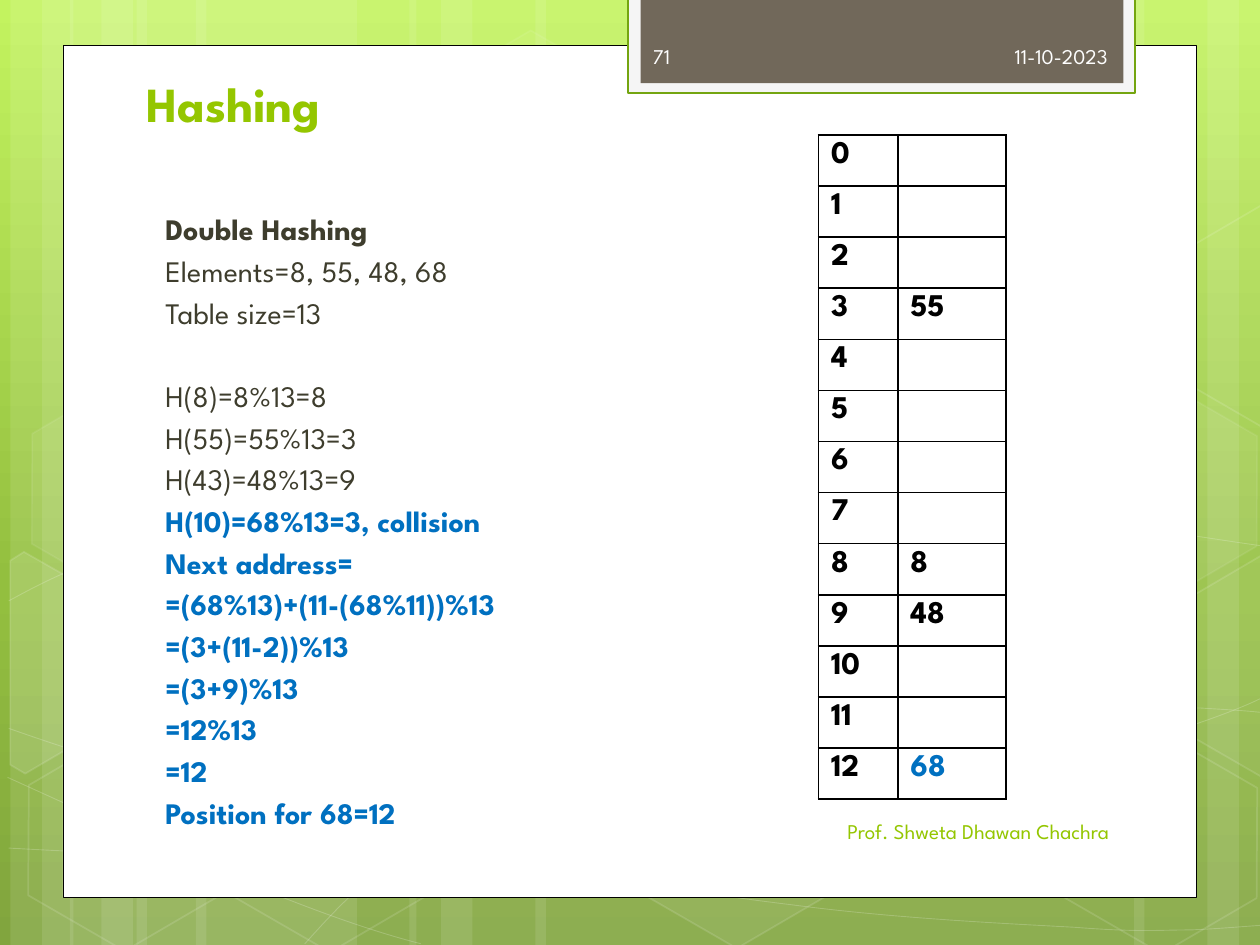
from copy import deepcopy
from lxml import etree
from pptx import Presentation
from pptx import util as u
from pptx.dml.color import RGBColor
from pptx.enum import shapes, text
from pptx.oxml import ns

FONT = "League Spartan"
HUES = {"white": "FFFFFF", "black": "000000", "pale": "F5F5F5", "edge": "74A510",
        "brown": "71685A", "lime": "94C600", "ink": "3E3D2D", "blue": "0070C0",
        "light": "FEFEFE", "top": "C3F35F", "mid": "93BF3F", "low": "81A53E"}
BARS = [(78, 126), (6, 36), (24, 60), (112, 126), (40, 36), (58, 60),
        (528, 126), (690, 36), (648, 60), (306, 222), (234, 36), (252, 60)]
CURVES = [
    [(5, 484.6), (44, 486.7), (82.8, 488.9), (136.8, 488.2), (190.8, 487.4),
     (257.8, 486), (329.8, 478.8), (401.8, 471.6), (504, 457.9), (570.2, 444.2),
     (635.8, 430.6), (703.4, 409), (725, 396.7)],
    [(5, 343.4), (25.9, 332), (46.8, 321.1), (87.1, 310.3), (128.2, 299.5),
     (186.5, 283.7), (249.8, 278.6), (314, 273.6), (391.7, 272.9), (470.9, 278.6),
     (550, 284.4), (681.8, 306.7), (725, 312.5)],
    [(4.3, 444.2), (91.4, 483.8), (177.8, 523.4), (240.5, 539.3)],
    [(5, 416.2), (27.4, 424), (50.4, 432), (92.2, 443.5), (133.9, 454.3),
     (196.6, 472.3), (257, 484.6), (316.8, 496.8), (392.4, 509.8), (452.2, 517),
     (511.9, 524.9), (576, 527.8), (614.2, 529.9), (651.6, 532.8), (661.7, 531.4),
     (680.4, 531.4), (699.1, 530.6), (712.1, 529.2), (725, 528.5)],
    [(174.2, 539.3), (187.2, 524.9), (200.2, 510.5), (217.4, 497.5), (234.7, 484.6),
     (259.2, 470.2), (279.4, 460.1), (299.5, 450), (311.8, 445.7), (338.4, 438.5),
     (364.3, 431.3), (412.6, 421.2), (437.8, 416.2), (463.7, 411.1), (467.3, 411.1),
     (489.6, 409.7), (511.9, 407.5), (547.2, 405.4), (571.7, 404.6), (596.9, 403.9),
     (637.9, 404.6), (637.9, 404.6), (654, 404.6), (670, 404.6), (686.2, 404.6),
     (699.1, 405.4), (711.4, 406.1), (717.8, 406.8), (724.3, 407.5), (722.2, 406.8),
     (724.3, 407.5)]]
HEXES = [(240.5, 26, 4, 8), (357.8, 424, 6, 12), (8, 425.5, 0, 12), (10, 224.6, 7, 8),
         (125.3, 426.2, 0, 12), (542.2, 326.2, 10, 12), (600.5, 427, 0, 12),
         (600.5, 226, 7, 8)]
EDGES = [
    ([(5.8, 320.4), (13.7, 315.4), (69.1, 347), (68.4, 410.4), (14.4, 442.1),
      (5.8, 437)], 10),
    ([(666.7, 349.2), (720.7, 317.5), (726.5, 321.1), (726.5, 441.4),
      (721.4, 444.2), (666.7, 412.6)], 4),
    ([(666.7, 149), (720.7, 117.4), (727.2, 121), (726.5, 241.2), (721.4, 244.1),
      (666.7, 212.4)], 0)]
PLAIN = ["Elements=8, 55, 48, 68", "Table size=13", "H(8)=8%13=8",
         "H(55)=55%13=3", "H(43)=48%13=9"]
STEPS = ["H(10)=68%13=3, collision", "Next address=", "=(68%13)+(11-(68%11))%13",
         "=(3+(11-2))%13", "=(3+9)%13", "=12%13", "=12", "Position for 68=12"]
SLOTS = {3: "55", 8: "8", 9: "48", 12: "68"}


def hue(name):
    return RGBColor.from_string(HUES[name])


def tint(fill, name, alpha=100):
    fill.solid()
    fill.fore_color.rgb = hue(name)
    if alpha < 100:
        node = fill._xPr.find(".//" + ns.qn("a:srgbClr"))
        etree.SubElement(node, ns.qn("a:alpha"), val=str(alpha * 1000))


def paint(shape, fill=None, alpha=100, line=None, width=1, fade=100):
    shape.shadow.inherit = False
    if fill:
        tint(shape.fill, fill, alpha)
    else:
        shape.fill.background()
    if line:
        shape.line.width = u.Pt(width)
        tint(shape.line.fill, line, fade)
    else:
        shape.line.fill.background()


def block(slide, box, kind=shapes.MSO_SHAPE.RECTANGLE, **look):
    shape = slide.shapes.add_shape(kind, *map(u.Pt, box))
    paint(shape, **look)
    return shape


def outline(slide, dots, closed, **look):
    dots = [(u.Pt(x), u.Pt(y)) for x, y in dots]
    pen = slide.shapes.build_freeform(*dots[0])
    pen.add_line_segments(dots[1:], close=closed)
    shape = pen.convert_to_shape()
    paint(shape, **look)
    return shape


def curve(slide, knots):
    shape = outline(slide, knots, False, line="white", width=0.5, fade=20)
    lines = list(shape._element.iter(ns.qn("a:lnTo")))
    route = lines[0].getparent()
    for at in range(0, len(lines), 3):
        arc = etree.SubElement(route, ns.qn("a:cubicBezTo"))
        for line in lines[at:at + 3]:
            arc.append(line[0])
            route.remove(line)


def style(para, size, color, bold=False):
    for run in para.runs:
        run.font.name = FONT
        run.font.size = u.Pt(size)
        run.font.bold = bold
        run.font.color.rgb = hue(color)


def label(slide, box, words, size, color, bold=False, right=False, anchor="MIDDLE"):
    frame = slide.shapes.add_textbox(*map(u.Pt, box)).text_frame
    frame.word_wrap = True
    frame.vertical_anchor = text.MSO_ANCHOR[anchor]
    frame.text = words
    para = frame.paragraphs[0]
    para.alignment = text.PP_ALIGN.RIGHT if right else text.PP_ALIGN.LEFT
    style(para, size, color, bold)
    return frame


def body(slide):
    frame = label(slide, (87.4, 117, 533.5, 342), "Double Hashing", 17, "ink", True,
                  anchor="TOP")
    for line in PLAIN + STEPS:
        para = frame.add_paragraph()
        para.text = line
        done = line in STEPS
        style(para, 17, "blue" if done else "ink", done)
        para.space_before = u.Pt(3.4)
    frame.paragraphs[3].space_before = u.Pt(27.2)


def border(cell):
    props = cell._tc.get_or_add_tcPr()
    for at, side in enumerate(("lnL", "lnR", "lnT", "lnB")):
        line = etree.Element(ns.qn("a:" + side), w=str(u.Pt(1)))
        fill = etree.SubElement(line, ns.qn("a:solidFill"))
        etree.SubElement(fill, ns.qn("a:srgbClr"), val=HUES["black"])
        props.insert(at, line)


def table(slide):
    rows = 13
    grid = slide.shapes.add_table(rows, 2, u.Pt(467.7), u.Pt(77.1), u.Pt(107.3),
                                  u.Pt(29.2 * rows)).table
    grid.first_row = grid.horz_banding = False
    grid.columns[0].width, grid.columns[1].width = u.Pt(45.4), u.Pt(61.9)
    for row in range(rows):
        for col, words in enumerate((str(row), SLOTS.get(row, ""))):
            cell = grid.cell(row, col)
            cell.fill.background()
            border(cell)
            cell.text_frame.text = words
            style(cell.text_frame.paragraphs[0], 18,
                  "blue" if words == "68" else "black", True)


def backdrop(slide):
    fill = slide.background.fill
    fill.gradient()
    fill.gradient_angle = 270
    stops = next(slide._element.iter(ns.qn("a:gsLst")))
    stops.append(deepcopy(stops[0]))
    for stop, name, place in zip(fill.gradient_stops, ("top", "mid", "low"), (0, 0.62, 1)):
        stop.color.rgb = hue(name)
        stop.position = place
    for left, width in BARS:
        block(slide, (left, 0, width, 540), fill="white", alpha=10)
    for knots in CURVES:
        curve(slide, knots)
    for left, top, alpha, fade in HEXES:
        shape = block(slide, (left, top, 126, 109.4), shapes.MSO_SHAPE.HEXAGON,
                      fill="white" if alpha else None, alpha=alpha, line="white", fade=fade)
        shape.adjustments[0] = 0.285
        shape.rotation = 30
    for dots, alpha in EDGES:
        outline(slide, dots, True, fill="white" if alpha else None, alpha=alpha,
                line="white", fade=12)


def main():
    deck = Presentation()
    deck.slide_width, deck.slide_height = u.Pt(720), u.Pt(540)
    slide = deck.slides.add_slide(deck.slide_layouts[6])
    backdrop(slide)
    block(slide, (36, 26, 648, 487), fill="white", line="black", width=0.5)
    block(slide, (359, -1.5, 289.5, 54.7), fill="pale", line="edge", width=1.25)
    block(slide, (366, -1.5, 276, 49), fill="brown")
    label(slide, (76.5, 37.4, 553, 41.8), "Hashing", 28, "lime", True, anchor="BOTTOM")
    body(slide)
    label(slide, (472.3, 17.7, 167.8, 28.8), "11-10-2023", 12, "light", right=True)
    label(slide, (366, 460.8, 275, 28.8), "Prof. Shweta Dhawan Chachra", 12, "lime", right=True)
    label(slide, (366, 17.7, 105, 28.8), "71", 12, "light")
    table(slide)
    deck.save("out.pptx")


if __name__ == "__main__":
    main()
